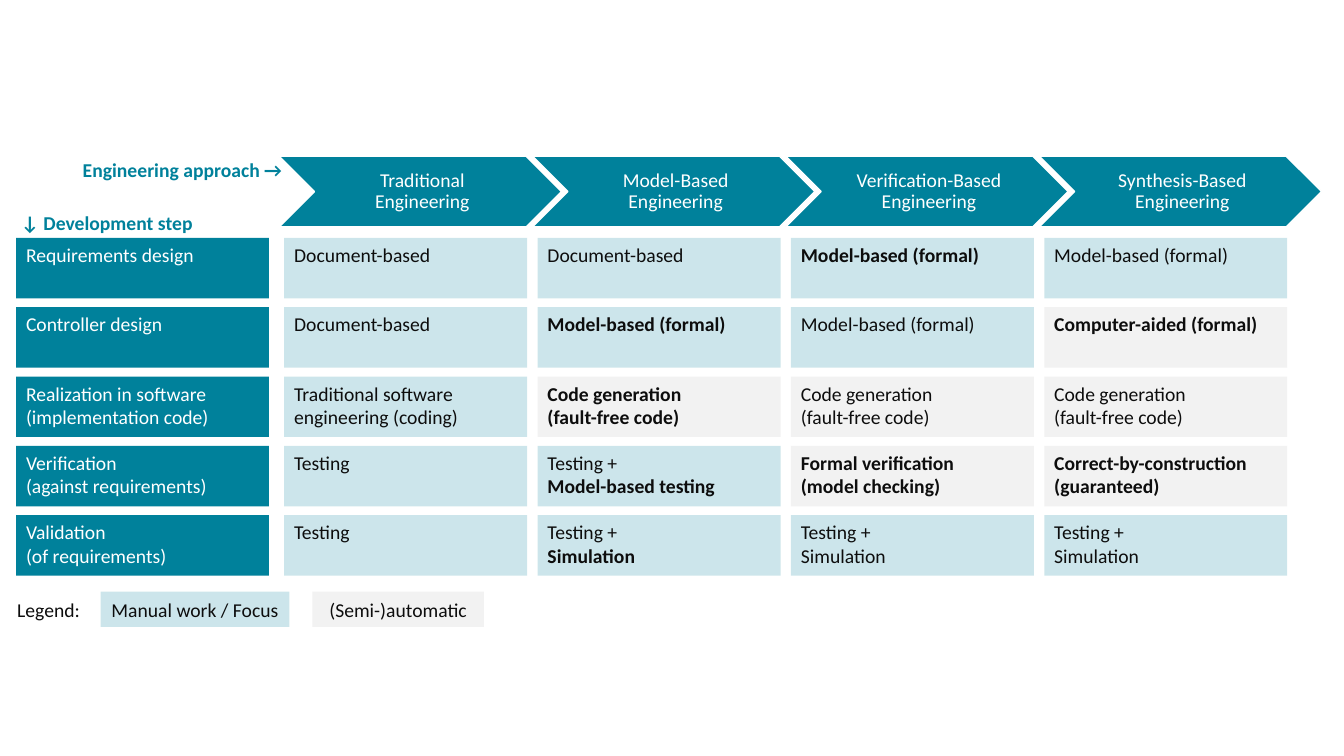
import pptx
import pptx.util
import pptx.dml.color
import pptx.enum.shapes
import pptx.enum.text
import pptx.oxml.ns
import lxml.etree

RGB = pptx.dml.color.RGBColor
TEAL = RGB(0x00, 0x81, 0x9B)
GREY = RGB(0xF2, 0xF2, 0xF2)
INK = RGB(0x0D, 0x0D, 0x0D)
WHITE = RGB(0xFF, 0xFF, 0xFF)
ALIGN = pptx.enum.text.PP_ALIGN
ANCHOR = pptx.enum.text.MSO_ANCHOR
SHAPE = pptx.enum.shapes.MSO_SHAPE

LEFT, STEP = 21.15, 18.85
TOP, PITCH = 31.47, 9.17

HEADS = ["Traditional", "Model-Based", "Verification-Based", "Synthesis-Based"]
STEPS = [
    "Requirements design",
    "Controller design",
    "Realization in software\n(implementation code)",
    "Verification\n(against requirements)",
    "Validation\n(of requirements)",
]
CELLS = [
    ["Document-based", "Document-based", "*Model-based (formal)", "Model-based (formal)"],
    ["Document-based", "*Model-based (formal)", "Model-based (formal)", "*Computer-aided (formal)"],
    ["Traditional software engineering (coding)", "*Code generation\n*(fault-free code)",
     "Code generation\n(fault-free code)", "Code generation\n(fault-free code)"],
    ["Testing", "Testing +\n*Model-based testing", "*Formal verification\n*(model checking)",
     "*Correct-by-construction (guaranteed)"],
    ["Testing", "Testing +\n*Simulation", "Testing +\nSimulation", "Testing +\nSimulation"],
]
AUTO = {(1, 3), (2, 1), (2, 2), (2, 3), (3, 2), (3, 3)}


def write(shape, text, color=INK, align=ALIGN.LEFT, anchor=ANCHOR.TOP,
          inset=(0.1, 0.05, 0.1, 0.05), space=1.0, wrap=True, font="Calibri", size=14):
    frame = shape.text_frame
    frame.word_wrap = wrap
    frame.vertical_anchor = anchor
    (frame.margin_left, frame.margin_top,
     frame.margin_right, frame.margin_bottom) = map(pptx.util.Inches, inset)
    for n, line in enumerate(text.split("\n")):
        para = frame.add_paragraph() if n else frame.paragraphs[0]
        para.alignment = align
        para.line_spacing = space
        run = para.add_run()
        run.text = line.removeprefix("*")
        run.font.name = font
        run.font.size = pptx.util.Pt(size)
        run.font.bold = line.startswith("*")
        run.font.color.rgb = color


class Board:
    def __init__(self, deck):
        self.wide, self.high = deck.slide_width, deck.slide_height
        self.slide = deck.slides.add_slide(deck.slide_layouts[6])

    def place(self, x, y, w, h):
        return (int(self.wide * x / 100), int(self.high * y / 100),
                int(self.wide * w / 100), int(self.high * h / 100))

    def shape(self, kind, area, fill):
        item = self.slide.shapes.add_shape(kind, *self.place(*area))
        item.shadow.inherit = False
        item.fill.solid()
        item.fill.fore_color.rgb = fill
        item.line.fill.background()
        return item

    def box(self, text, area, fill, alpha=100, **style):
        item = self.shape(SHAPE.RECTANGLE, area, fill)
        if alpha < 100:
            tone = item.fill._xPr.find(".//" + pptx.oxml.ns.qn("a:srgbClr"))
            lxml.etree.SubElement(tone, pptx.oxml.ns.qn("a:alpha"), val=str(alpha * 1000))
        write(item, text, **style)

    def work(self, text, area, auto, **style):
        self.box(text, area, GREY if auto else TEAL, 100 if auto else 20, **style)

    def arrow(self, text, area):
        item = self.shape(SHAPE.CHEVRON, area, TEAL)
        item.line.color.rgb = WHITE
        item.line.width = pptx.util.Pt(1)
        write(item, text, color=WHITE, align=ALIGN.CENTER, anchor=ANCHOR.MIDDLE,
              inset=(0.06, 0.02, 0.02, 0.02), space=0.9)

    def label(self, text, area, **style):
        write(self.slide.shapes.add_textbox(*self.place(*area)), text, **style)


def main():
    deck = pptx.Presentation()
    deck.slide_width = pptx.util.Inches(13.33)
    deck.slide_height = pptx.util.Inches(7.5)
    board = Board(deck)

    for col, head in enumerate(HEADS):
        board.arrow(head + "\nEngineering", (20.78 + col * STEP, 20.67, 21, 9.33))
    for row, (step, cells) in enumerate(zip(STEPS, CELLS)):
        y = TOP + row * PITCH
        board.box(step, (1.2, y, 18.82, 8), TEAL, color=WHITE)
        for col, cell in enumerate(cells):
            board.work(cell, (LEFT + col * STEP, y, 18.08, 8), (row, col) in AUTO)

    mid = {"align": ALIGN.CENTER, "anchor": ANCHOR.MIDDLE}
    board.work("Manual work / Focus", (7.5, 78.27, 14.03, 4.67), False, **mid)
    board.work("(Semi-)automatic", (23.25, 78.27, 12.75, 4.67), True, **mid)
    board.label("Legend:", (1.28, 78.4, 5.48, 4.53), anchor=ANCHOR.MIDDLE,
                inset=(0, 0.05, 0.1, 0.05), wrap=False)
    axis = {"color": TEAL, "inset": (0, 0, 0, 0)}
    board.label("*Engineering approach →", (4.28, 20.93, 16.73, 3.2), align=ALIGN.RIGHT, **axis)
    board.label("*↓ Development step", (1.58, 27.87, 14.1, 3.2), **axis)
    deck.save("out.pptx")


if __name__ == "__main__":
    main()
